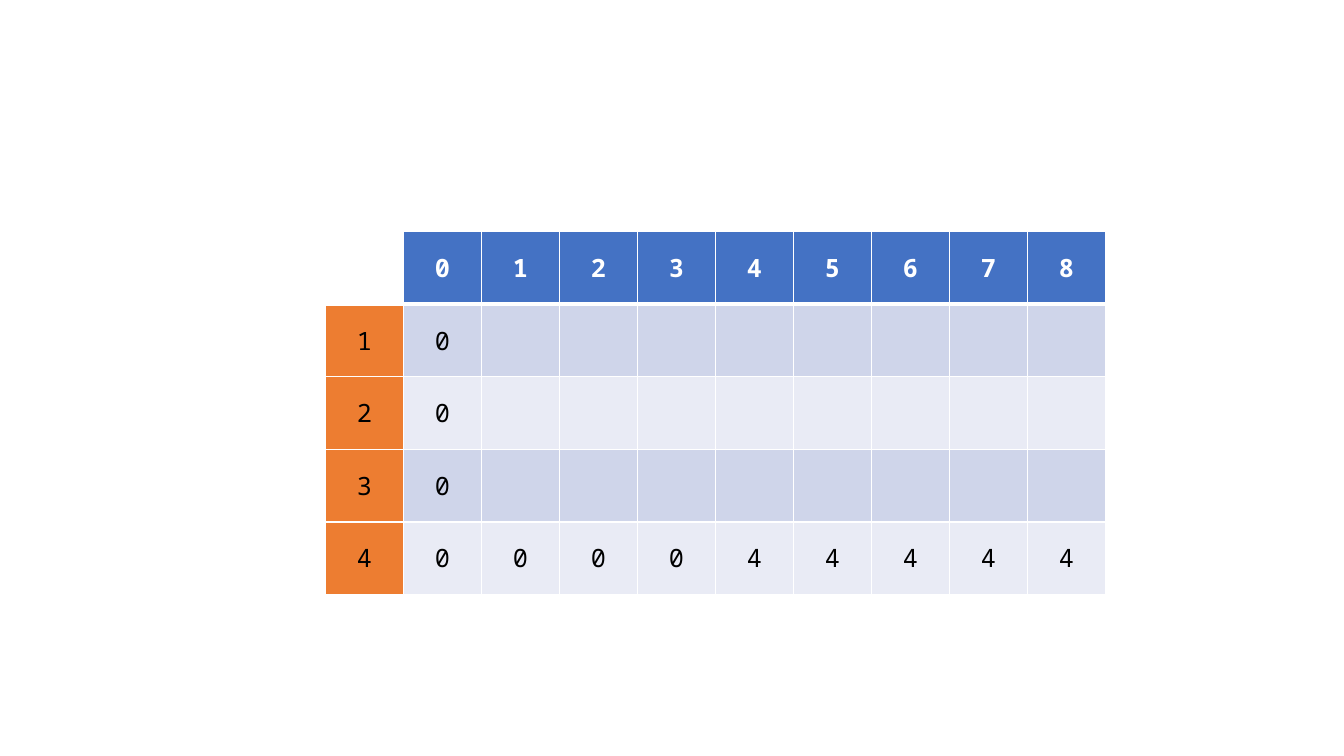
from dataclasses import dataclass

from lxml import etree
from pptx import Presentation
from pptx.dml.color import RGBColor
from pptx.enum.text import MSO_ANCHOR, PP_ALIGN
from pptx.oxml.ns import qn
from pptx.table import _Cell
from pptx.util import Cm, Pt

CENTER = PP_ALIGN.CENTER
MIDDLE = MSO_ANCHOR.MIDDLE
BLANK_LAYOUT = 6


@dataclass(frozen=True)
class Theme:
    font: str = "Noto Sans Mono"
    text_size: Pt = Pt(18)
    thin_border: Pt = Pt(1)
    header_border: Pt = Pt(3)
    white: str = "FFFFFF"
    black: str = "000000"
    column_header: str = "4472C4"
    row_header: str = "ED7D31"
    bands: tuple[str, str] = ("CFD5EA", "E9EBF5")


@dataclass(frozen=True)
class CellStyle:
    fill: str
    text_color: str
    bold: bool = False


THEME = Theme()
CORNER = CellStyle(THEME.white, THEME.white)
COLUMN_HEADER = CellStyle(THEME.column_header, THEME.white, bold=True)
ROW_HEADER = CellStyle(THEME.row_header, THEME.black)
BANDS = [CellStyle(fill, THEME.black) for fill in THEME.bands]

CAPACITIES = range(9)
ITEM_VALUES = {
    1: [0],
    2: [0],
    3: [0],
    4: [0, 0, 0, 0, 4, 4, 4, 4, 4],
}


def style_for(row: int, column: int) -> CellStyle:
    if row == 0:
        return COLUMN_HEADER if column else CORNER
    return BANDS[(row - 1) % len(BANDS)] if column else ROW_HEADER


def add_border(cell: _Cell, side: str, width: Pt) -> None:
    properties = cell._tc.get_or_add_tcPr()
    line = etree.SubElement(properties, qn(f"a:{side}"), w=str(int(width)))
    fill = etree.SubElement(line, qn("a:solidFill"))
    etree.SubElement(fill, qn("a:srgbClr"), val=THEME.white)


def draw_cell(cell: _Cell, text: str, style: CellStyle, top: Pt, bottom: Pt) -> None:
    thin = THEME.thin_border
    for side, width in (("lnL", thin), ("lnR", thin), ("lnT", top), ("lnB", bottom)):
        add_border(cell, side, width)
    cell.fill.solid()
    cell.fill.fore_color.rgb = RGBColor.from_string(style.fill)
    cell.vertical_anchor = MIDDLE
    paragraph = cell.text_frame.paragraphs[0]
    paragraph.alignment = CENTER
    if text:
        run = paragraph.add_run()
        run.text = text
        run.font.name = THEME.font
        run.font.size = THEME.text_size
        run.font.bold = style.bold
        run.font.color.rgb = RGBColor.from_string(style.text_color)


presentation = Presentation()
presentation.slide_width = Cm(33.87)
presentation.slide_height = Cm(19.05)
slide = presentation.slides.add_slide(presentation.slide_layouts[BLANK_LAYOUT])

rows = [["", *CAPACITIES]] + [[item, *values] for item, values in ITEM_VALUES.items()]
column_count = len(CAPACITIES) + 1
table = slide.shapes.add_table(
    len(rows), column_count, Cm(8.2), Cm(5.84), Cm(19.66), Cm(9.14)
).table

for row, values in enumerate(rows):
    padded = values + [""] * (column_count - len(values))
    top = THEME.header_border if row == 1 else THEME.thin_border
    bottom = THEME.header_border if row == 0 else THEME.thin_border
    for column, value in enumerate(padded):
        draw_cell(table.cell(row, column), str(value), style_for(row, column), top, bottom)

presentation.save("out.pptx")
